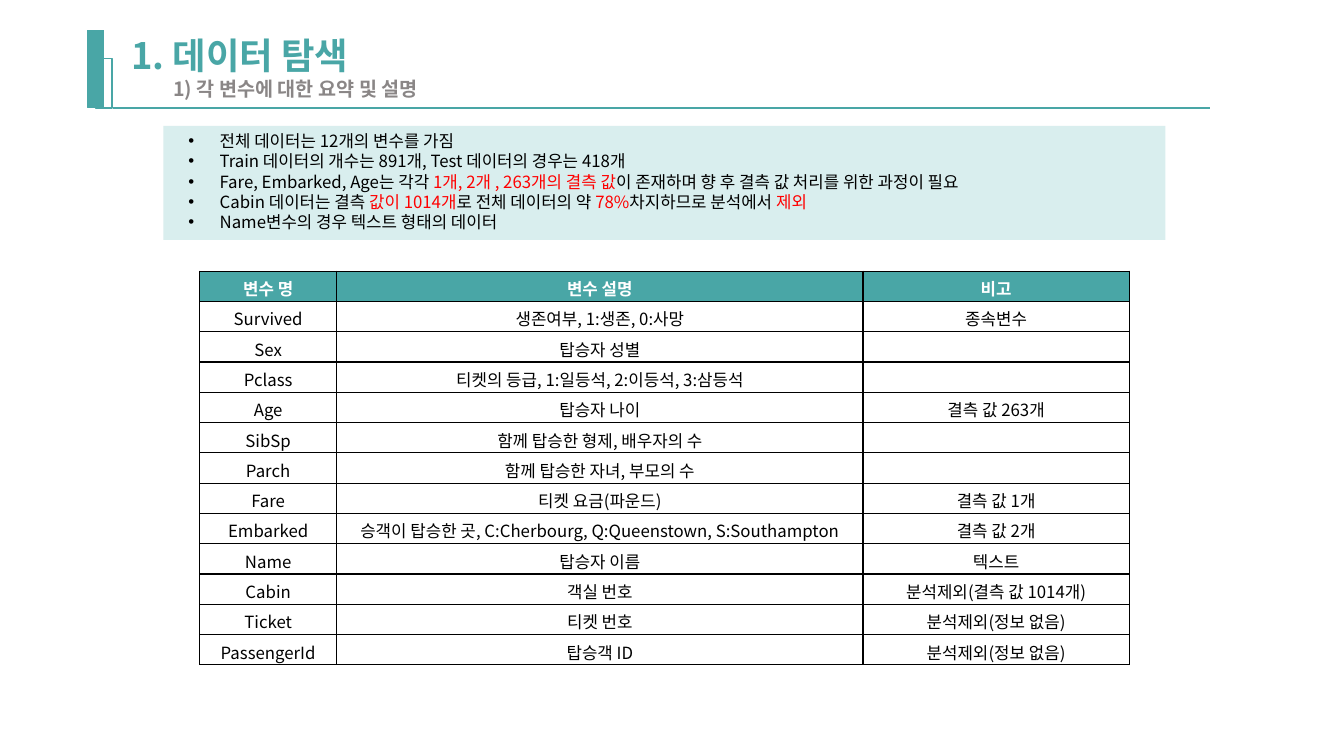
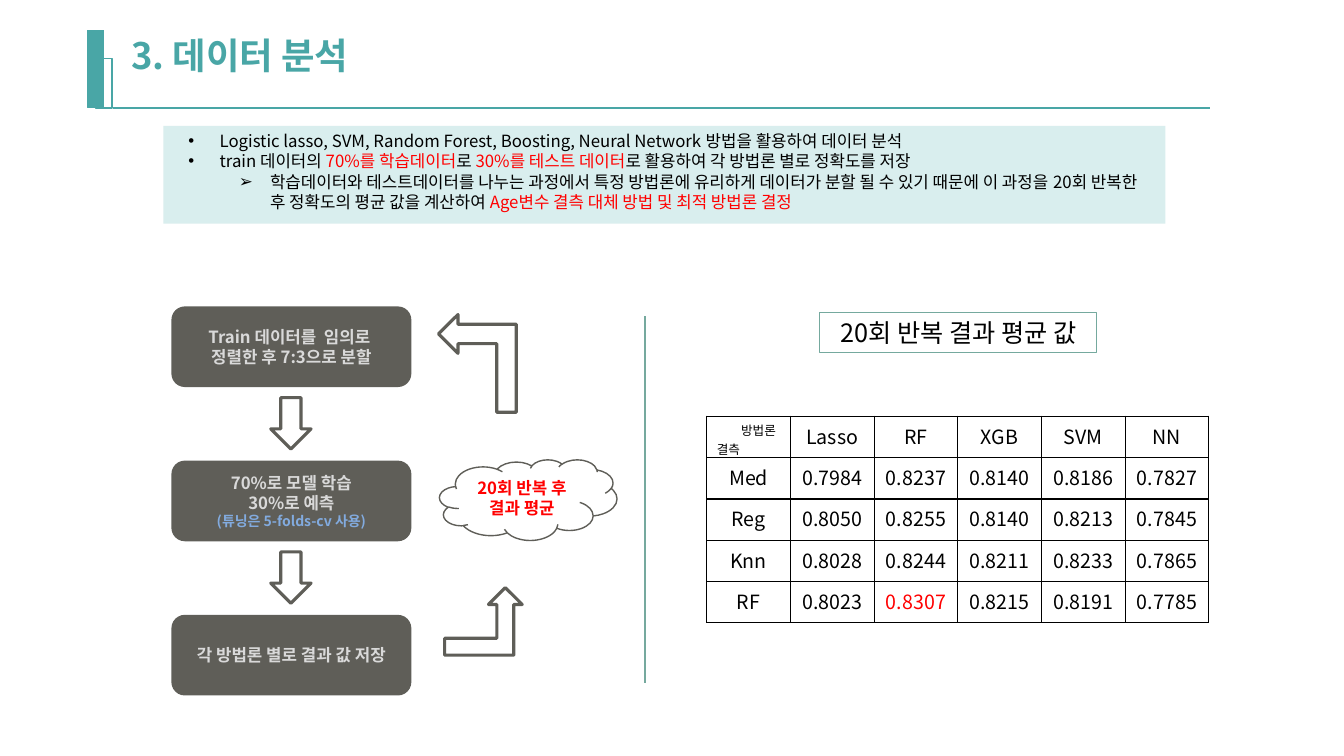
from lxml.etree import SubElement
from pptx import Presentation
from pptx.dml.color import RGBColor
from pptx.enum.shapes import MSO_CONNECTOR, MSO_SHAPE
from pptx.enum.text import MSO_ANCHOR, PP_ALIGN
from pptx.oxml.ns import qn
from pptx.util import Inches, Pt

FONT = "Noto Sans CJK KR"
COLORS = {
    "teal": "49A6A6", "mist": "D9EEEE", "sage": "75A99E", "gray": "8A8686",
    "stone": "5F5E58", "silver": "D9D9D9", "sky": "82ABDF", "red": "FF0000",
    "black": "000000", "white": "FFFFFF",
}
BULLETS = [("•", 0.31), ("➢", 0.81)]


def rgb(name):
    return RGBColor.from_string(COLORS[name])


class Deck:
    """Holds the shared style and the current slide."""

    def __init__(self):
        self.prs = Presentation()
        self.prs.slide_width, self.prs.slide_height = Inches(13.33), Inches(7.5)
        self.s = None

    def slide(self, title, subtitle=None):
        self.s = self.prs.slides.add_slide(self.prs.slide_layouts[5])
        self.shape(MSO_SHAPE.RECTANGLE, (0.95, 0.58, 0.16, 0.49), line="teal")
        self.line((1.12, 1.07), (12, 1.07), "teal", 1)
        self.shape(MSO_SHAPE.RECTANGLE, (0.87, 0.3, 0.16, 0.77), "teal", "teal")
        sp = self.s.shapes.title
        place = dict(left=1.2, top=0.28, width=2.49, height=0.54)
        for name, value in place.items():
            setattr(sp, name, Inches(value))
        self.frame(sp.text_frame, wrap=False)
        self.paragraph(sp.text_frame.paragraphs[0], title, 26, "teal", True)
        if subtitle:
            tf = self.textbox((1.62, 0.71, 2.83, 0.34), wrap=False)
            self.paragraph(tf.paragraphs[0], subtitle, 14, "gray", True)

    def frame(self, tf, wrap=True):
        for name, value in dict(word_wrap=wrap, vertical_anchor=MSO_ANCHOR.TOP).items():
            setattr(tf, name, value)

    def textbox(self, box, wrap=True):
        tf = self.s.shapes.add_textbox(*map(Inches, box)).text_frame
        self.frame(tf, wrap)
        return tf

    def paragraph(self, p, text, size=12, color="black", bold=False,
                  align=PP_ALIGN.LEFT):
        """Fill one paragraph, with the parts between asterisks in red."""
        p.alignment = align
        for i, part in enumerate(text.split("*")):
            if not part:
                continue
            r = p.add_run()
            r.text = part
            r.font.color.rgb = rgb("red" if i % 2 else color)
            for name, value in dict(size=Pt(size), bold=bold, name=FONT).items():
                setattr(r.font, name, value)
            SubElement(r._r.get_or_add_rPr(), qn("a:ea"), typeface=FONT)
        if not text:
            SubElement(p._p, qn("a:endParaRPr"), sz=str(size * 100))

    def indent(self, p, left, first=0):
        pPr = p._p.get_or_add_pPr()
        for name, value in dict(marL=left, indent=first).items():
            pPr.set(name, str(Inches(value)))
        return pPr

    def shape(self, kind, box, fill=None, line=None, width=1, rotation=0):
        sp = self.s.shapes.add_shape(kind, *map(Inches, box))
        sp.shadow.inherit = False
        sp.rotation = rotation
        for fmt, color in ((sp.fill, fill), (sp.line.fill, line)):
            if color:
                fmt.solid()
                fmt.fore_color.rgb = rgb(color)
            else:
                fmt.background()
        if line:
            sp.line.width = Pt(width)
        return sp

    def label(self, sp, *lines):
        tf = sp.text_frame
        tf.word_wrap = True
        for i, (text, size, color, bold) in enumerate(lines):
            p = tf.add_paragraph() if i else tf.paragraphs[0]
            self.paragraph(p, text, size, color, bold, PP_ALIGN.CENTER)

    def arrow(self, kind, box, rotation=0):
        self.shape(kind, box, "white", "stone", 2.25, rotation)

    def line(self, start, end, color, width):
        sp = self.s.shapes.add_connector(
            MSO_CONNECTOR.STRAIGHT, *map(Inches, start + end))
        sp.line.color.rgb = rgb(color)
        sp.line.width = Pt(width)
        SubElement(sp._element.spPr, qn("a:effectLst"))

    def summary(self, height, items, width):
        self.shape(MSO_SHAPE.RECTANGLE, (1.62, 1.25, 9.94, height), "mist")
        tf = self.textbox((1.77, 1.25, width, height))
        for i, (level, text) in enumerate(items):
            p = tf.add_paragraph() if i else tf.paragraphs[0]
            p.level = level
            char, left = BULLETS[level]
            self.paragraph(p, text)
            pPr = self.indent(p, left, -0.31)
            SubElement(pPr, qn("a:buFont"), typeface="Arial")
            SubElement(pPr, qn("a:buChar"), char=char)

    def table(self, left, top, widths, row_height, rows, size, header=False):
        table = self.s.shapes.add_table(
            len(rows), len(widths), Inches(left), Inches(top),
            Inches(sum(widths)), Inches(row_height * len(rows))).table
        table.first_row = table.horz_banding = False
        for column, width in zip(table.columns, widths):
            column.width = Inches(width)
        for i, row in enumerate(rows):
            table.rows[i].height = Inches(row_height)
            for j, text in enumerate(row):
                cell, head = table.cell(i, j), header and i == 0
                self.borders(cell)
                if head:
                    cell.fill.solid()
                    cell.fill.fore_color.rgb = rgb("teal")
                else:
                    cell.fill.background()
                self.paragraph(cell.text_frame.paragraphs[0], text, size,
                               "white" if head else "black", head, PP_ALIGN.CENTER)
        return table

    def borders(self, cell):
        tcPr = cell._tc.get_or_add_tcPr()
        for side in ("lnL", "lnR", "lnT", "lnB"):
            ln = SubElement(tcPr, qn(f"a:{side}"), w=str(Pt(1)))
            fill = SubElement(ln, qn("a:solidFill"))
            SubElement(fill, qn("a:srgbClr"), val=COLORS["black"])


def explore(deck):
    deck.slide("1. 데이터 탐색", "1) 각 변수에 대한 요약 및 설명")
    deck.summary(1.13, [
        (0, "전체 데이터는 12개의 변수를 가짐"),
        (0, "Train 데이터의 개수는 891개, Test 데이터의 경우는 418개"),
        (0, "Fare, Embarked, Age는 각각 *1개, 2개 , 263개의 결측 값*이 존재하며 "
            "향 후 결측 값 처리를 위한 과정이 필요"),
        (0, "Cabin 데이터는 결측 *값이 1014개*로 전체 데이터의 약 *78%*차지하므로 "
            "분석에서 *제외*"),
        (0, "Name변수의 경우 텍스트 형태의 데이터"),
    ], 9.62)
    deck.table(1.98, 2.69, [1.36, 5.22, 2.64], 0.3, [
        ("변수 명", "변수 설명", "비고"),
        ("Survived", "생존여부, 1:생존, 0:사망", "종속변수"),
        ("Sex", "탑승자 성별", ""),
        ("Pclass", "티켓의 등급, 1:일등석, 2:이등석, 3:삼등석", ""),
        ("Age", "탑승자 나이", "결측 값 263개"),
        ("SibSp", "함께 탑승한 형제, 배우자의 수", ""),
        ("Parch", "함께 탑승한 자녀, 부모의 수", ""),
        ("Fare", "티켓 요금(파운드)", "결측 값 1개"),
        ("Embarked", "승객이 탑승한 곳, C:Cherbourg, Q:Queenstown, S:Southampton",
         "결측 값 2개"),
        ("Name", "탑승자 이름", "텍스트"),
        ("Cabin", "객실 번호", "분석제외(결측 값 1014개)"),
        ("Ticket", "티켓 번호", "분석제외(정보 없음)"),
        ("PassengerId", "탑승객 ID", "분석제외(정보 없음)"),
    ], 12, header=True)


def analyze(deck):
    deck.slide("3. 데이터 분석")
    deck.summary(0.97, [
        (0, "Logistic lasso, SVM, Random Forest, Boosting, Neural Network "
            "방법을 활용하여 데이터 분석"),
        (0, "train 데이터의 *70%를 학습데이터*로 *30%를 테스트 데이터*로 "
            "활용하여 각 방법론 별로 정확도를 저장"),
        (1, "학습데이터와 테스트데이터를 나누는 과정에서 특정 방법론에 유리하게 "
            "데이터가 분할 될 수 있기 때문에 이 과정을 20회 반복한 후 정확도의 "
            "평균 값을 계산하여 *Age변수 결측 대체 방법 및 최적 방법론 결정*"),
    ], 9.79)

    step = (12, "silver", True)
    steps = [
        [("Train 데이터를  임의로 ", *step), ("정렬한 후 7:3으로 분할", *step)],
        [("70%로 모델 학습", *step), ("30%로 예측", *step),
         ("(튜닝은 5-folds-cv 사용)", 10, "sky", True)],
        [("각 방법론 별로 결과 값 저장", *step)],
    ]
    for i, lines in enumerate(steps):
        top = 3.04 + 1.53 * i
        sp = deck.shape(MSO_SHAPE.ROUNDED_RECTANGLE, (1.7, top, 2.38, 0.8), "stone")
        deck.label(sp, *lines)
        if i:
            deck.arrow(MSO_SHAPE.RIGHT_ARROW, (2.63, top - 0.57, 0.51, 0.4), 90)

    cloud = deck.shape(MSO_SHAPE.CLOUD, (4.36, 4.56, 1.76, 0.8), "white", "stone")
    deck.label(cloud, ("20회 반복 후 결과 평균", 12, "red", True))
    deck.arrow(MSO_SHAPE.BENT_UP_ARROW, (4.41, 5.83, 0.77, 0.67))
    deck.arrow(MSO_SHAPE.BENT_UP_ARROW, (4.25, 3.22, 0.97, 0.77), 270)

    deck.line((6.4, 3.14), (6.4, 6.78), "sage", 1.5)
    heading = deck.shape(MSO_SHAPE.RECTANGLE, (8.13, 3.1, 2.75, 0.4),
                         line="sage", width=0.75)
    deck.label(heading, ("20회 반복 결과 평균 값", 18, "black", False))
    table = deck.table(7.01, 4.13, [0.83] * 6, 0.41, [
        ("", "Lasso", "RF", "XGB", "SVM", "NN"),
        ("Med", "0.7984", "0.8237", "0.8140", "0.8186", "0.7827"),
        ("Reg", "0.8050", "0.8255", "0.8140", "0.8213", "0.7845"),
        ("Knn", "0.8028", "0.8244", "0.8211", "0.8233", "0.7865"),
        ("RF", "0.8023", "*0.8307*", "0.8215", "0.8191", "0.7785"),
    ], 14)
    corner = table.cell(0, 0)
    corner.vertical_anchor = MSO_ANCHOR.MIDDLE
    tf = corner.text_frame
    tf.clear()
    for p, text, left in ((tf.paragraphs[0], "방법론", 0.24),
                          (tf.add_paragraph(), "결측", 0)):
        deck.paragraph(p, text, 9)
        deck.indent(p, left)


def main():
    deck = Deck()
    explore(deck)
    analyze(deck)
    deck.prs.save("out.pptx")


if __name__ == "__main__":
    main()
